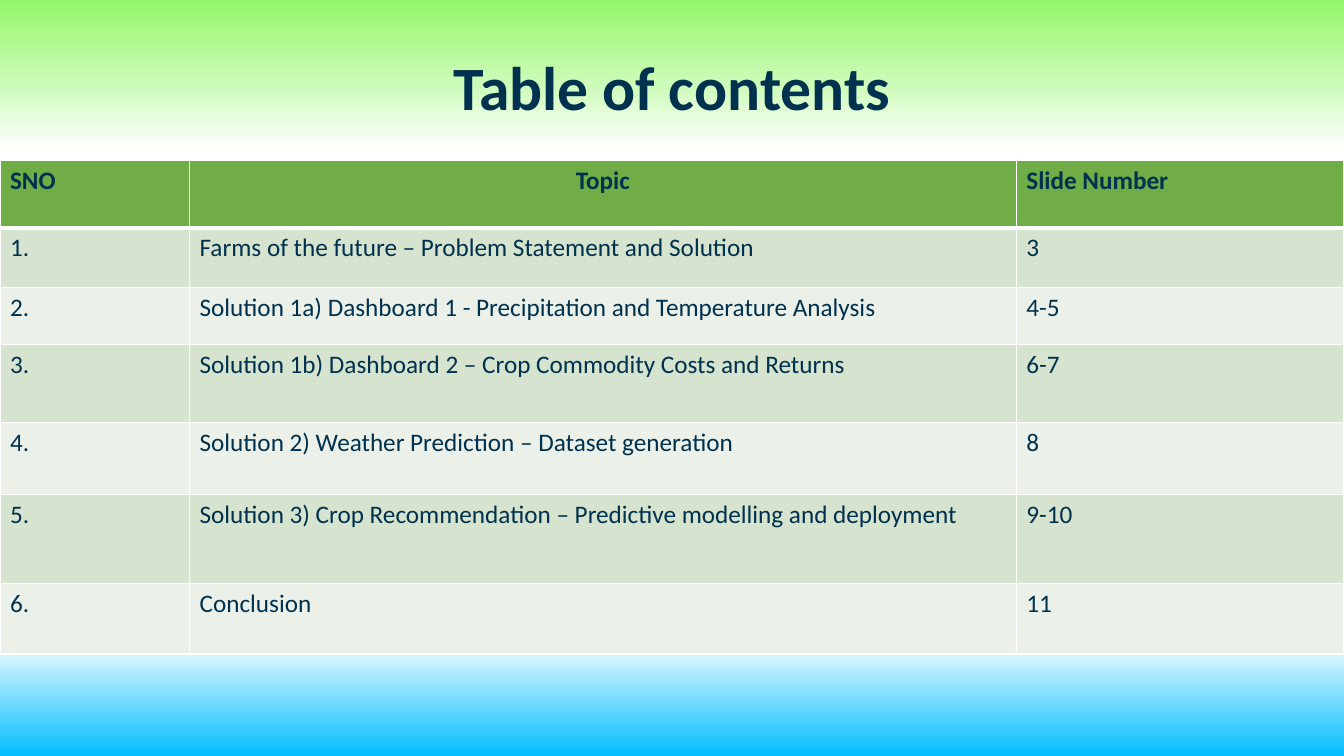
from pptx import Presentation, util as u
from pptx.dml.color import RGBColor
from pptx.enum import text
from pptx.oxml import parse_xml
from pptx.oxml.ns import nsdecls

# Content
TITLE = "Table of contents"
ROWS = [
    ("SNO", "Topic", "Slide Number"),
    ("1.", "Farms of the future – Problem Statement and Solution", "3"),
    ("2.", "Solution 1a) Dashboard 1 - Precipitation and Temperature Analysis", "4-5"),
    ("3.", "Solution 1b) Dashboard 2 – Crop Commodity Costs and Returns", "6-7"),
    ("4.", "Solution 2) Weather Prediction – Dataset generation", "8"),
    ("5.", "Solution 3) Crop Recommendation – Predictive modelling and deployment", "9-10"),
    ("6.", "Conclusion", "11"),
]

# Layout and colours
WIDTH, HEIGHT = 13.33, 7.5
TABLE_TOP = 1.59
COLUMN_WIDTHS = [1.88, 8.2, 3.25]
ROW_HEIGHTS = [0.67, 0.59, 0.57, 0.77, 0.72, 0.88, 0.7]
INK, WHITE, HEADER = "00314E", "FFFFFF", "70AD47"
BANDS = ["EBF1E9", "D5E3CF"]
SKY = [(0, "92F768"), (11, "CDFBB9"), (20, WHITE), (84, WHITE), (100, "01BEFF")]


def color(value):
    return RGBColor.from_string(value)


def write(frame, words, size, bold, centered):
    paragraph = frame.paragraphs[0]
    paragraph.alignment = text.PP_ALIGN.CENTER if centered else text.PP_ALIGN.LEFT
    run = paragraph.add_run()
    run.text = words
    run.font.color.rgb = color(INK)
    for name, value in {"name": "Calibri", "size": u.Pt(size), "bold": bold}.items():
        setattr(run.font, name, value)
    return paragraph


def set_borders(cell, widths):
    properties = cell._tc.get_or_add_tcPr()
    for index, (side, points) in enumerate(widths.items()):
        properties.insert(index, parse_xml(
            f'<a:ln{side} {nsdecls("a")} w="{u.Pt(points)}"><a:solidFill>'
            f'<a:srgbClr val="{WHITE}"/></a:solidFill></a:ln{side}>'))


presentation = Presentation()
presentation.slide_width, presentation.slide_height = u.Inches(WIDTH), u.Inches(HEIGHT)
slide = presentation.slides.add_slide(presentation.slide_layouts[6])

# Background gradient, top to bottom
fill = slide.background.fill
fill.gradient()
fill.gradient_angle = 270
stops = slide._element.xpath(".//a:gsLst")[0]
for stop in list(stops):
    stops.remove(stop)
for percent, value in SKY:
    stops.append(parse_xml(
        f'<a:gs {nsdecls("a")} pos="{percent * 1000}"><a:srgbClr val="{value}"/></a:gs>'))

# Title
title_width = 11.5
title = slide.shapes.add_textbox(
    u.Inches((WIDTH - title_width) / 2), u.Inches(0.4), u.Inches(title_width), u.Inches(1))
title.text_frame.word_wrap = True
title.text_frame.vertical_anchor = text.MSO_ANCHOR.MIDDLE
write(title.text_frame, TITLE, 44, True, True).line_spacing = 0.9

# Contents table
table = slide.shapes.add_table(
    len(ROWS), len(COLUMN_WIDTHS), 0, u.Inches(TABLE_TOP),
    u.Inches(WIDTH), u.Inches(sum(ROW_HEIGHTS))).table
for column, width in zip(table.columns, COLUMN_WIDTHS):
    column.width = u.Inches(width)
for row, height in zip(table.rows, ROW_HEIGHTS):
    row.height = u.Inches(height)
for r, entries in enumerate(ROWS):
    is_header = r == 0
    for c, words in enumerate(entries):
        cell = table.cell(r, c)
        write(cell.text_frame, words, 18, is_header, is_header and c == 1)
        cell.fill.solid()
        cell.fill.fore_color.rgb = color(HEADER if is_header else BANDS[r % 2])
        set_borders(cell, {"L": 1, "R": 1, "T": 3 if r == 1 else 1, "B": 3 if is_header else 1})

presentation.save("out.pptx")
